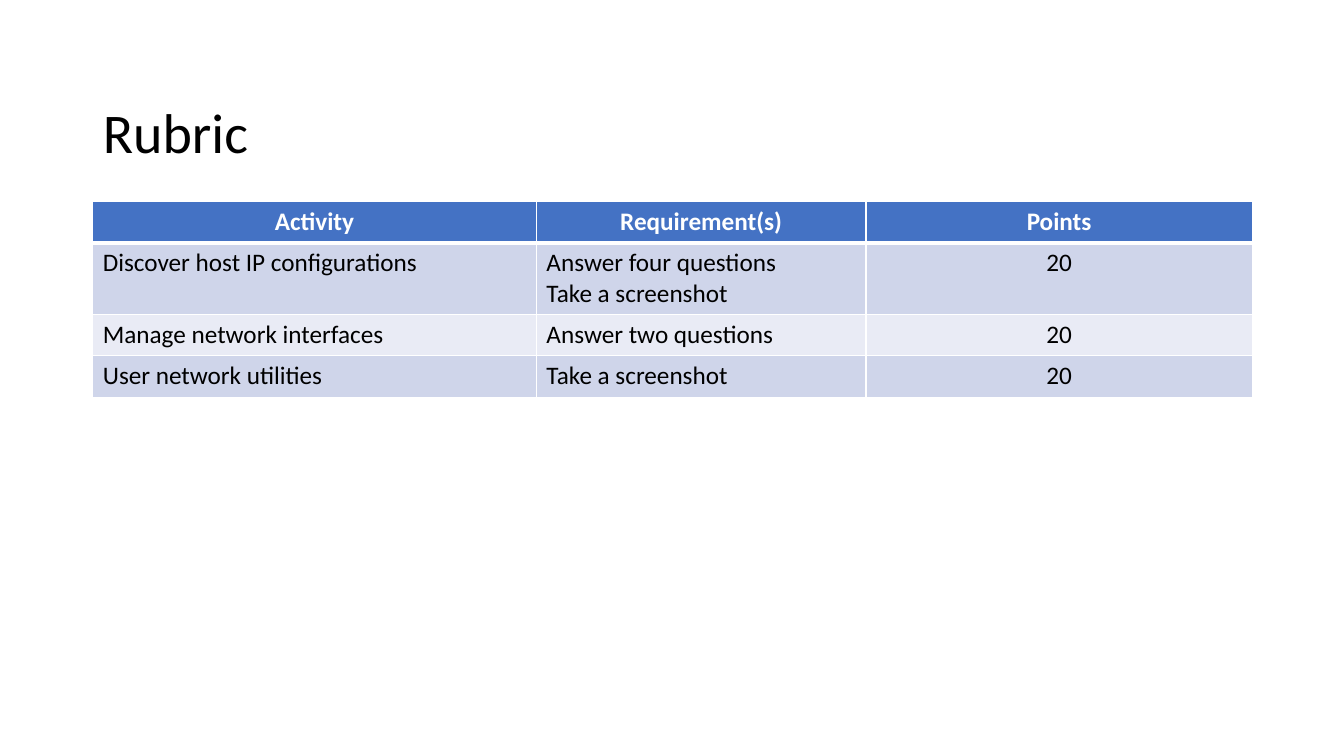
from lxml import etree
from pptx import Presentation
from pptx.dml.color import RGBColor
from pptx.enum.text import MSO_ANCHOR, MSO_AUTO_SIZE, PP_ALIGN
from pptx.oxml.ns import qn
from pptx.util import Inches, Pt

LEFT, CENTER = PP_ALIGN.LEFT, PP_ALIGN.CENTER
MIDDLE, NO_FIT = MSO_ANCHOR.MIDDLE, MSO_AUTO_SIZE.NONE
TITLE_ONLY = 5
FONT = "Calibri"
COLORS = {
    "text": "000000",
    "header_text": "FFFFFF",
    "header": "4472C4",
    "odd_row": "CFD5EA",
    "even_row": "E9EBF5",
    "border": "FFFFFF",
}

# Layout in inches
SLIDE_W, SLIDE_H = 13.33, 7.5
MARGIN, CONTENT_W = 0.92, 11.5
TITLE_TOP, TITLE_H = 0.83, 1.02
TABLE_TOP, ROW_H = 2, 0.41
COL_WIDTHS = (4.4, 3.27, 3.83)

RUBRIC = [
    ("Activity", "Requirement(s)", "Points"),
    ("Discover host IP configurations", "Answer four questions\nTake a screenshot", "20"),
    ("Manage network interfaces", "Answer two questions", "20"),
    ("User network utilities", "Take a screenshot", "20"),
]


def format_text(tf, size, color, align, bold=False):
    for p in tf.paragraphs:
        p.alignment = align
        for r in p.runs:
            r.font.name = FONT
            r.font.size = Pt(size)
            r.font.bold = bold
            r.font.color.rgb = RGBColor.from_string(COLORS[color])


def set_borders(cell, widths):
    tc_pr = cell._tc.get_or_add_tcPr()
    for side, width in widths.items():
        ln = etree.SubElement(tc_pr, qn(f"a:ln{side}"), w=str(Pt(width)))
        fill = etree.SubElement(ln, qn("a:solidFill"))
        etree.SubElement(fill, qn("a:srgbClr"), val=COLORS["border"])


def add_title(s, text):
    title = s.shapes.title
    title.left, title.top = Inches(MARGIN), Inches(TITLE_TOP)
    title.width, title.height = Inches(CONTENT_W), Inches(TITLE_H)
    tf = title.text_frame
    tf.text = text
    tf.auto_size = NO_FIT
    tf.vertical_anchor = MIDDLE
    tf.paragraphs[0].line_spacing = 0.9
    format_text(tf, 40, "text", LEFT)


def fill_cell(cell, text, row, col):
    is_header = row == 0
    # The rule under the header is heavier than the others
    set_borders(cell, {"L": 1, "R": 1, "T": 3 if row == 1 else 1, "B": 3 if is_header else 1})
    band = "header" if is_header else "odd_row" if row % 2 else "even_row"
    cell.fill.solid()
    cell.fill.fore_color.rgb = RGBColor.from_string(COLORS[band])
    cell.text_frame.text = text
    is_points = col == len(COL_WIDTHS) - 1
    format_text(cell.text_frame, 18, "header_text" if is_header else "text",
                CENTER if is_header or is_points else LEFT, is_header)


def add_rubric_table(s, rows):
    table = s.shapes.add_table(
        len(rows), len(COL_WIDTHS), Inches(MARGIN), Inches(TABLE_TOP),
        Inches(CONTENT_W), Inches(ROW_H * len(rows))).table
    for column, width in zip(table.columns, COL_WIDTHS):
        column.width = Inches(width)
    for i, values in enumerate(rows):
        table.rows[i].height = Inches(ROW_H)
        for j, text in enumerate(values):
            fill_cell(table.cell(i, j), text, i, j)


def main():
    prs = Presentation()
    prs.slide_width, prs.slide_height = Inches(SLIDE_W), Inches(SLIDE_H)
    s = prs.slides.add_slide(prs.slide_layouts[TITLE_ONLY])
    add_title(s, "Rubric")
    add_rubric_table(s, RUBRIC)
    prs.save("out.pptx")


if __name__ == "__main__":
    main()
